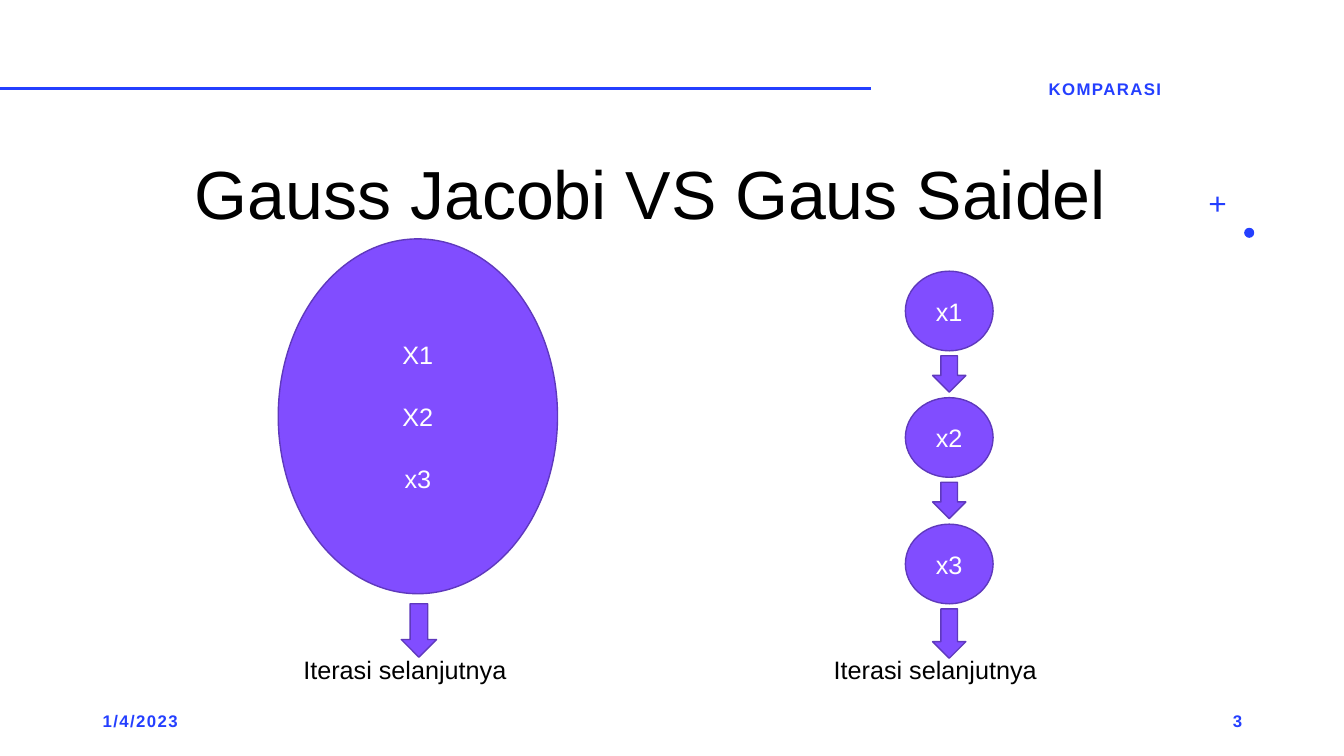
import pptx
import pptx.util
import pptx.dml.color
import pptx.enum.shapes
import pptx.enum.text
import pptx.oxml.ns
import lxml.etree

Inches = pptx.util.Inches
Pt = pptx.util.Pt
RGBColor = pptx.dml.color.RGBColor
MSO_SHAPE = pptx.enum.shapes.MSO_SHAPE
PP_ALIGN = pptx.enum.text.PP_ALIGN
MSO_ANCHOR = pptx.enum.text.MSO_ANCHOR

BLUE = RGBColor(0x24, 0x3F, 0xFF)
PURPLE = RGBColor(0x81, 0x4D, 0xFF)
DARK_PURPLE = RGBColor(0x5F, 0x39, 0xBD)
BLACK = RGBColor(0, 0, 0)
WHITE = RGBColor(0xFF, 0xFF, 0xFF)


def write_text(shape, text, size=18, color=BLACK, bold=False, align=PP_ALIGN.LEFT,
               anchor=MSO_ANCHOR.MIDDLE, line_spacing=1, gap=0, tracking=0):
    frame = shape.text_frame
    frame.word_wrap = True
    frame.auto_size = pptx.enum.text.MSO_AUTO_SIZE.NONE
    frame.vertical_anchor = anchor
    frame.text = text
    for index, paragraph in enumerate(frame.paragraphs):
        paragraph.alignment = align
        paragraph.line_spacing = line_spacing
        paragraph.space_before = Pt(gap if index else 0)
        for run in paragraph.runs:
            run.font.name = "Arial"
            run.font.size = Pt(size)
            run.font.bold = bold
            run.font.color.rgb = color
            if tracking:
                run.font._element.set("spc", str(tracking * 100))


def add_filled(kind, left, top, width, height, fill=PURPLE, line=DARK_PURPLE):
    shape = slide.shapes.add_shape(kind, Inches(left), Inches(top), Inches(width), Inches(height))
    shape.shadow.inherit = False
    shape.fill.solid()
    shape.fill.fore_color.rgb = fill
    if line is None:
        shape.line.fill.background()
    else:
        shape.line.color.rgb = line
        shape.line.width = Pt(1)
    return shape


presentation = pptx.Presentation()
presentation.slide_width = Inches(13.33)
presentation.slide_height = Inches(7.5)
slide = presentation.slides.add_slide(presentation.slide_layouts[5])

rule = slide.shapes.add_connector(
    pptx.enum.shapes.MSO_CONNECTOR.STRAIGHT, 0, Inches(0.88), Inches(8.64), Inches(0.88))
rule.line.color.rgb = BLUE
rule.line.width = Pt(2)
lxml.etree.SubElement(rule._element.spPr, pptx.oxml.ns.qn("a:effectLst"))

add_filled(MSO_SHAPE.OVAL, 12.34, 2.26, 0.1, 0.1, fill=BLUE, line=None)
plus = add_filled(MSO_SHAPE.CROSS, 12, 1.95, 0.15, 0.15, fill=BLUE, line=None)
plus.adjustments[0] = 0.43

title = slide.shapes.title
title.left, title.top = Inches(1.83), Inches(1.08)
title.width, title.height = Inches(9.67), Inches(1.29)
write_text(title, "Gauss Jacobi VS Gaus Saidel", size=48.6,
           anchor=MSO_ANCHOR.BOTTOM, line_spacing=0.9)

for text, left, top, width, align in [
    ("1/4/2023", 0.92, 6.95, 3, PP_ALIGN.LEFT),
    ("KOMPARASI", 8.71, 0.68, 4.5, PP_ALIGN.CENTER),
    ("3", 9.42, 6.95, 3, PP_ALIGN.RIGHT),
]:
    box = slide.shapes.add_textbox(Inches(left), Inches(top), Inches(width), Inches(0.4))
    write_text(box, text, size=12, color=BLUE, bold=True, align=align, tracking=1)

jacobi = add_filled(MSO_SHAPE.OVAL, 2.76, 2.37, 2.77, 3.52)
write_text(jacobi, "X1\nX2\nx3", color=WHITE, align=PP_ALIGN.CENTER, gap=22.5)
add_filled(MSO_SHAPE.DOWN_ARROW, 3.98, 5.99, 0.35, 0.53)

for index, (name, arrow_height) in enumerate([("x1", 0.36), ("x2", 0.36), ("x3", 0.49)]):
    top = 2.69 + index * 1.255
    circle = add_filled(MSO_SHAPE.OVAL, 8.98, top, 0.87, 0.79)
    write_text(circle, name, color=WHITE, align=PP_ALIGN.CENTER)
    add_filled(MSO_SHAPE.DOWN_ARROW, 9.25, top + 0.84, 0.33, arrow_height)

for left in (2.91, 8.17):
    label = slide.shapes.add_textbox(Inches(left), Inches(6.44), Inches(2.48), Inches(0.4))
    write_text(label, "Iterasi selanjutnya", anchor=MSO_ANCHOR.TOP)

presentation.save("out.pptx")
